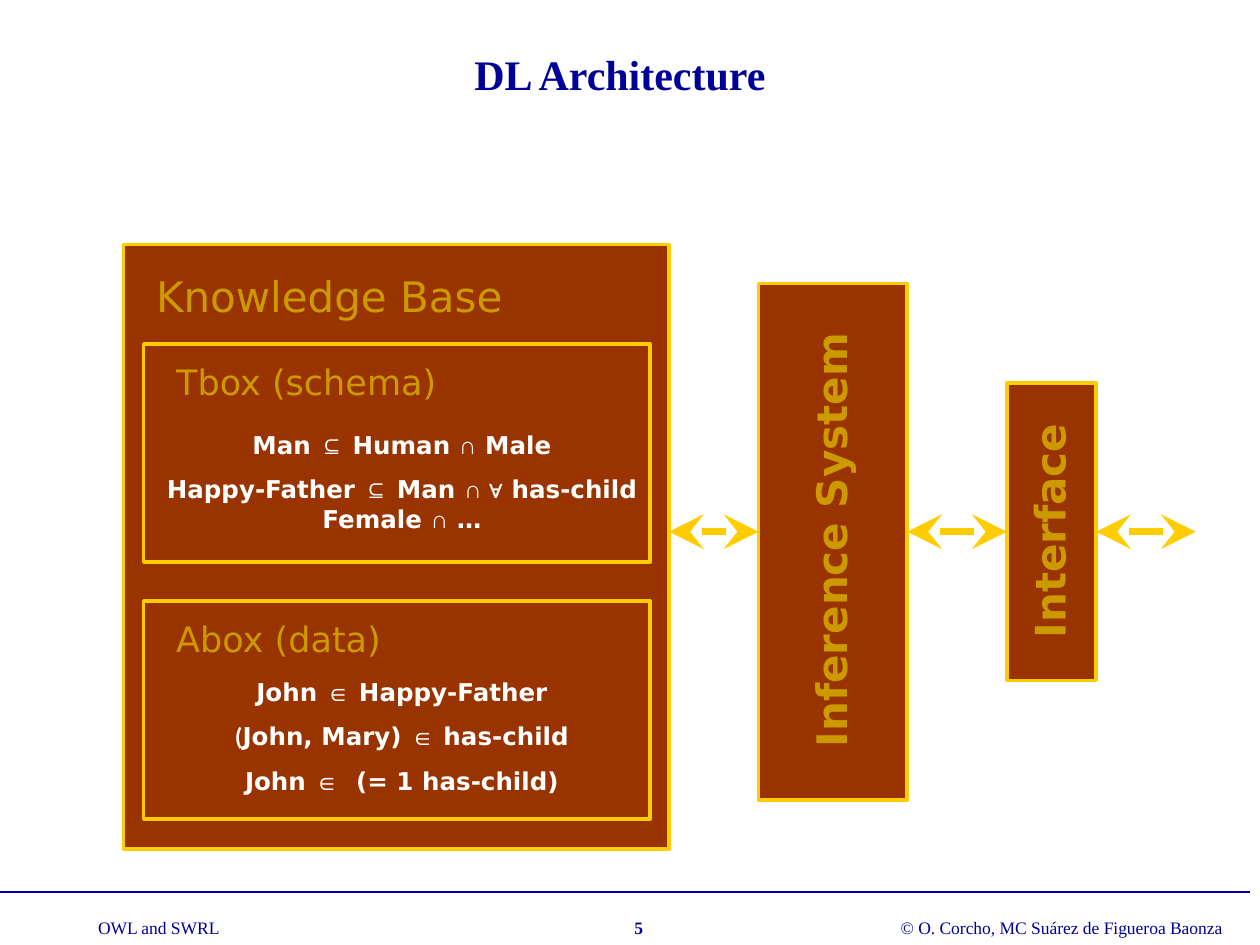
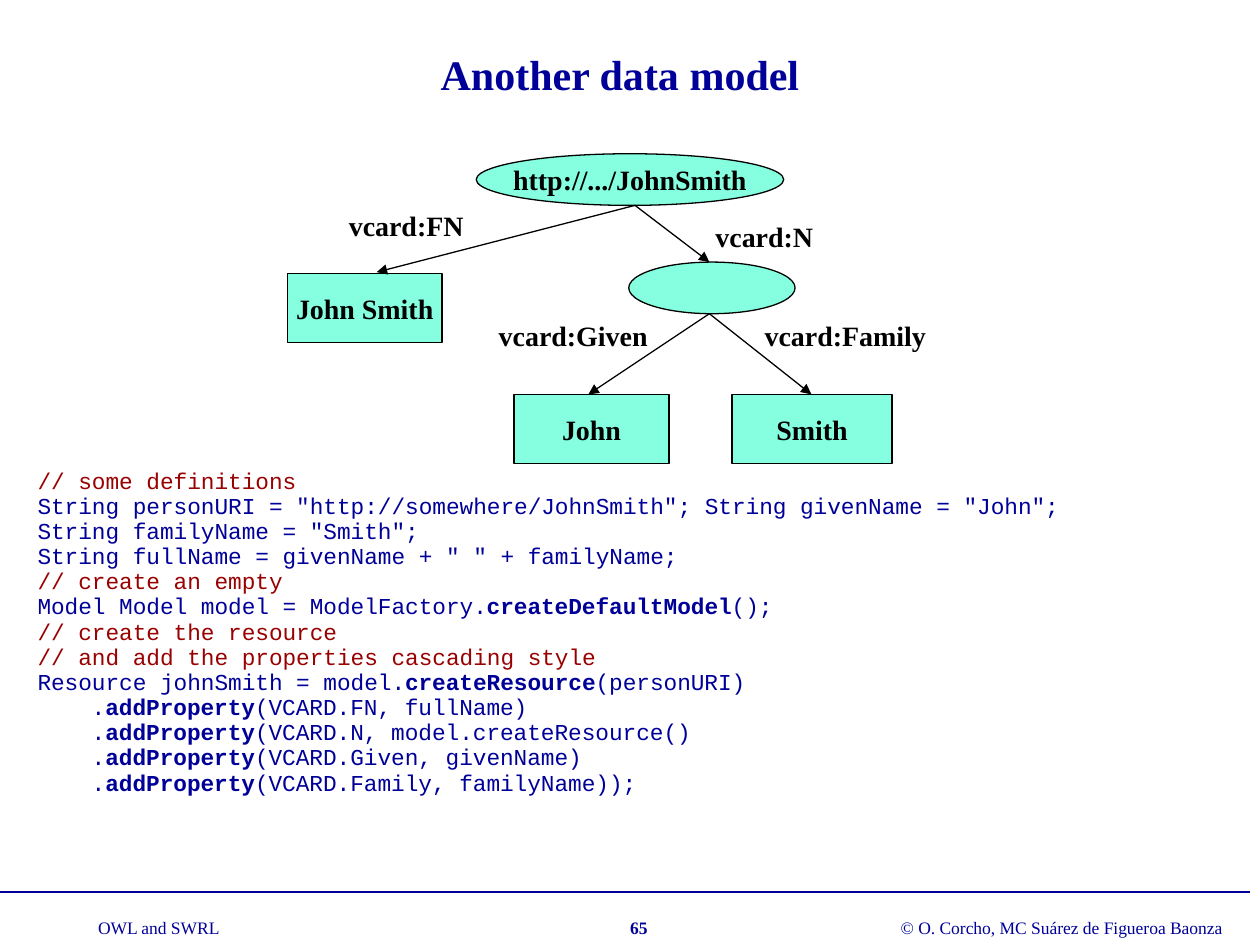
from lxml import etree
from pptx import Presentation
from pptx.dml.color import RGBColor
from pptx.enum.shapes import MSO_CONNECTOR, MSO_SHAPE
from pptx.enum.text import MSO_ANCHOR, MSO_AUTO_SIZE, PP_ALIGN
from pptx.oxml.ns import qn
from pptx.util import Inches, Pt

RECTANGLE, ELLIPSE = MSO_SHAPE.RECTANGLE, MSO_SHAPE.OVAL
STRAIGHT = MSO_CONNECTOR.STRAIGHT
LEFT, CENTER = PP_ALIGN.LEFT, PP_ALIGN.CENTER
TOP, MIDDLE = MSO_ANCHOR.TOP, MSO_ANCHOR.MIDDLE
GROW = MSO_AUTO_SIZE.SHAPE_TO_FIT_TEXT

COLORS = {
    "navy": "000099",
    "brown": "993300",
    "yellow": "FFCC00",
    "ochre": "CC9900",
    "mint": "85FFE0",
    "red": "990000",
    "black": "000000",
    "white": "FFFFFF",
}
SERIF, SANS, SYMBOL, CODE = "Times New Roman", "DejaVu Sans", "Arial", "Courier New"

TBOX_AXIOMS = [
    "Man |⊆| Human |∩| Male",
    "Happy-Father |⊆| Man |∩ ∀| has-child Female |∩| …",
]
ABOX_FACTS = [
    "John |∈| Happy-Father",
    "John, Mary) |∈| has-child",
    "John |∈|  (= 1 has-child)",
]
CODE_LINES = [
    "// some definitions",
    'String personURI = "http://somewhere/JohnSmith"; String givenName = "John";',
    'String familyName = "Smith";',
    'String fullName = givenName + " " + familyName;',
    "// create an empty",
    "Model Model model = ModelFactory.|createDefaultModel|();",
    "// create the resource",
    "// and add the properties cascading style",
    "Resource johnSmith = model.|createResource|(personURI)",
    ".|addProperty|(VCARD.FN, fullName)",
    ".|addProperty|(VCARD.N, model.createResource()",
    ".|addProperty|(VCARD.Given, givenName)",
    ".|addProperty|(VCARD.Family, familyName));",
]


def color(name):
    return RGBColor.from_string(COLORS[name])


def mark_runs(text, **accent):
    """Split text at bars; every second piece takes the accent format."""
    return [(piece, accent if index % 2 else {})
            for index, piece in enumerate(text.split("|"))]


def write_text(frame, paragraphs, align=LEFT, anchor=TOP, wrap=True, grow=False,
               space_before=0, **font_format):
    """Fill a text frame; a paragraph is a string or a list of (text, format) runs."""
    frame.word_wrap = wrap
    frame.vertical_anchor = anchor
    if grow:
        frame.auto_size = GROW
    for index, runs in enumerate(paragraphs):
        paragraph = frame.add_paragraph() if index else frame.paragraphs[0]
        paragraph.alignment = align
        paragraph.space_before = Pt(space_before)
        for text, changes in [(runs, {})] if isinstance(runs, str) else runs:
            style = {"font": SERIF, "size": 16, "fill": "black", "bold": False}
            style.update(font_format)
            style.update(changes)
            run = paragraph.add_run()
            run.text = text
            run.font.name = style["font"]
            run.font.size = Pt(style["size"])
            run.font.bold = style["bold"]
            run.font.color.rgb = color(style["fill"])


def add_text(slide, box, paragraphs, rotation=0, **text_format):
    shape = slide.shapes.add_textbox(*map(Inches, box))
    shape.rotation = rotation
    write_text(shape.text_frame, paragraphs, **text_format)
    return shape


def add_box(slide, kind, box, fill, line, line_width):
    shape = slide.shapes.add_shape(kind, *map(Inches, box))
    shape.shadow.inherit = False
    if fill:
        shape.fill.solid()
        shape.fill.fore_color.rgb = color(fill)
    else:
        shape.fill.background()
    shape.line.color.rgb = color(line)
    shape.line.width = Pt(line_width)
    return shape


def add_line(slide, start, end, line, width, **arrowheads):
    """Draw a line; headEnd and tailEnd each take (type, size)."""
    connector = slide.shapes.add_connector(STRAIGHT, *map(Inches, (*start, *end)))
    connector.line.color.rgb = color(line)
    connector.line.width = Pt(width)
    properties = connector.line._get_or_add_ln()
    for tag, (kind, size) in arrowheads.items():
        etree.SubElement(properties, qn(f"a:{tag}"), type=kind, w=size, len=size)
    etree.SubElement(connector._element.spPr, qn("a:effectLst"))


def add_slide(presentation, title, number):
    """Add a blank slide with the shared title, rule and footer."""
    slide = presentation.slides.add_slide(presentation.slide_layouts[6])
    add_line(slide, (0, 7.08), (9.92, 7.08), "navy", 1)
    footers = [
        (7.05, 2.75, "© O. Corcho, MC Suárez de Figueroa Baonza", LEFT, False),
        (4.66, 0.82, number, CENTER, True),
        (0.68, 1.17, "OWL and SWRL", LEFT, False),
    ]
    for left, width, text, align, bold in footers:
        add_text(slide, (left, 7.23, width, 0.27), [text], align=align, bold=bold,
                 size=10, fill="navy", wrap=False, grow=True)
    add_text(slide, (0.67, 0.17, 8.5, 0.83), [title], align=CENTER, anchor=MIDDLE,
             size=24, fill="navy", bold=True)
    return slide


def add_panel(slide, box, fill="brown"):
    add_box(slide, RECTANGLE, box, fill, "yellow", 2)


def add_heading(slide, box, text, size=24, **text_format):
    add_text(slide, box, [text], font=SANS, size=size, fill="ochre", grow=True,
             space_before=size * 0.625, **text_format)


def add_formulas(slide, box, formulas):
    add_text(slide, box, formulas, font=SANS, size=14, fill="white", bold=True,
             align=CENTER, space_before=8.8, grow=True)


def build_architecture(presentation):
    slide = add_slide(presentation, "DL Architecture", "5")
    add_panel(slide, (7.99, 3.04, 0.71, 2.36))
    add_panel(slide, (6.02, 2.25, 1.18, 4.1))
    add_panel(slide, (0.98, 1.94, 4.33, 4.8))
    add_heading(slide, (1.14, 2.1, 3.15, 0.5), "Knowledge Base")
    for top, name in ((2.73, "Tbox (schema)"), (4.77, "Abox (data)")):
        add_panel(slide, (1.14, top, 4.02, 1.73), fill=None)
        add_heading(slide, (1.3, top + 0.08, 3.15, 0.44), name, size=20)

    axioms = [mark_runs(text, font=SYMBOL) for text in TBOX_AXIOMS]
    facts = [mark_runs(text, font=SYMBOL) for text in ABOX_FACTS]
    facts[1].insert(0, ("(", {"font": "Calibri"}))
    add_formulas(slide, (1.14, 3.36, 4.1, 0.92), axioms)
    add_formulas(slide, (1.14, 5.32, 4.1, 1.05), facts)

    add_heading(slide, (4.82, 4.01, 3.54, 0.5), "Inference System", rotation=270, bold=True)
    add_heading(slide, (7.3, 3.89, 2.05, 0.5), "Interface", rotation=270, bold=True)
    for start, end in ((5.31, 6.02), (7.2, 7.99), (8.7, 9.49)):
        add_line(slide, (start, 4.22), (end, 4.22), "yellow", 4,
                 headEnd=("stealth", "lg"), tailEnd=("stealth", "lg"))


def add_node(slide, kind, box, text=None):
    shape = add_box(slide, kind, box, "mint", "black", 0.75)
    if text:
        write_text(shape.text_frame, [text], align=CENTER, anchor=MIDDLE,
                   wrap=False, bold=True)


def add_code(slide, box, lines):
    """Add a listing with red comments, bold calls and indented chained calls."""
    paragraphs = [mark_runs(line, bold=True) for line in lines]
    shape = add_text(slide, box, paragraphs, font=CODE, size=13, fill="navy")
    for line, paragraph in zip(lines, shape.text_frame.paragraphs):
        paragraph.line_spacing = Pt(14.37)
        if line.startswith("//"):
            paragraph.runs[0].font.color.rgb = color("red")
        if line.startswith("."):
            paragraph._p.get_or_add_pPr().set("marL", str(Inches(0.43)))


def build_data_model(presentation):
    slide = add_slide(presentation, "Another data model", "65")
    add_node(slide, ELLIPSE, (3.78, 1.22, 2.44, 0.41), "http://.../JohnSmith")
    add_node(slide, ELLIPSE, (4.99, 2.08, 1.32, 0.41))
    add_node(slide, RECTANGLE, (2.28, 2.17, 1.23, 0.55), "John Smith")
    add_node(slide, RECTANGLE, (5.81, 3.13, 1.27, 0.55), "Smith")
    add_node(slide, RECTANGLE, (4.08, 3.13, 1.23, 0.55), "John")

    person, name = (5.04, 1.63), (5.63, 2.49)
    edges = [
        (person, (2.99, 2.16), "vcard:FN", (2.67, 1.61, 1.15, 0.37)),
        (person, (5.63, 2.08), "vcard:N", (5.58, 1.69, 1.02, 0.37)),
        (name, (4.67, 3.13), "vcard:Given", (3.86, 2.48, 1.42, 0.37)),
        (name, (6.44, 3.13), "vcard:Family", (5.97, 2.48, 1.52, 0.37)),
    ]
    for start, end, label, label_box in edges:
        add_line(slide, start, end, "black", 0.75, tailEnd=("triangle", "med"))
        add_text(slide, label_box, [label], bold=True)
    add_code(slide, (0.2, 3.67, 9.53, 2.71), CODE_LINES)


def main():
    presentation = Presentation()
    presentation.slide_width, presentation.slide_height = Inches(10), Inches(7.5)
    build_architecture(presentation)
    build_data_model(presentation)
    presentation.save("out.pptx")


if __name__ == "__main__":
    main()
